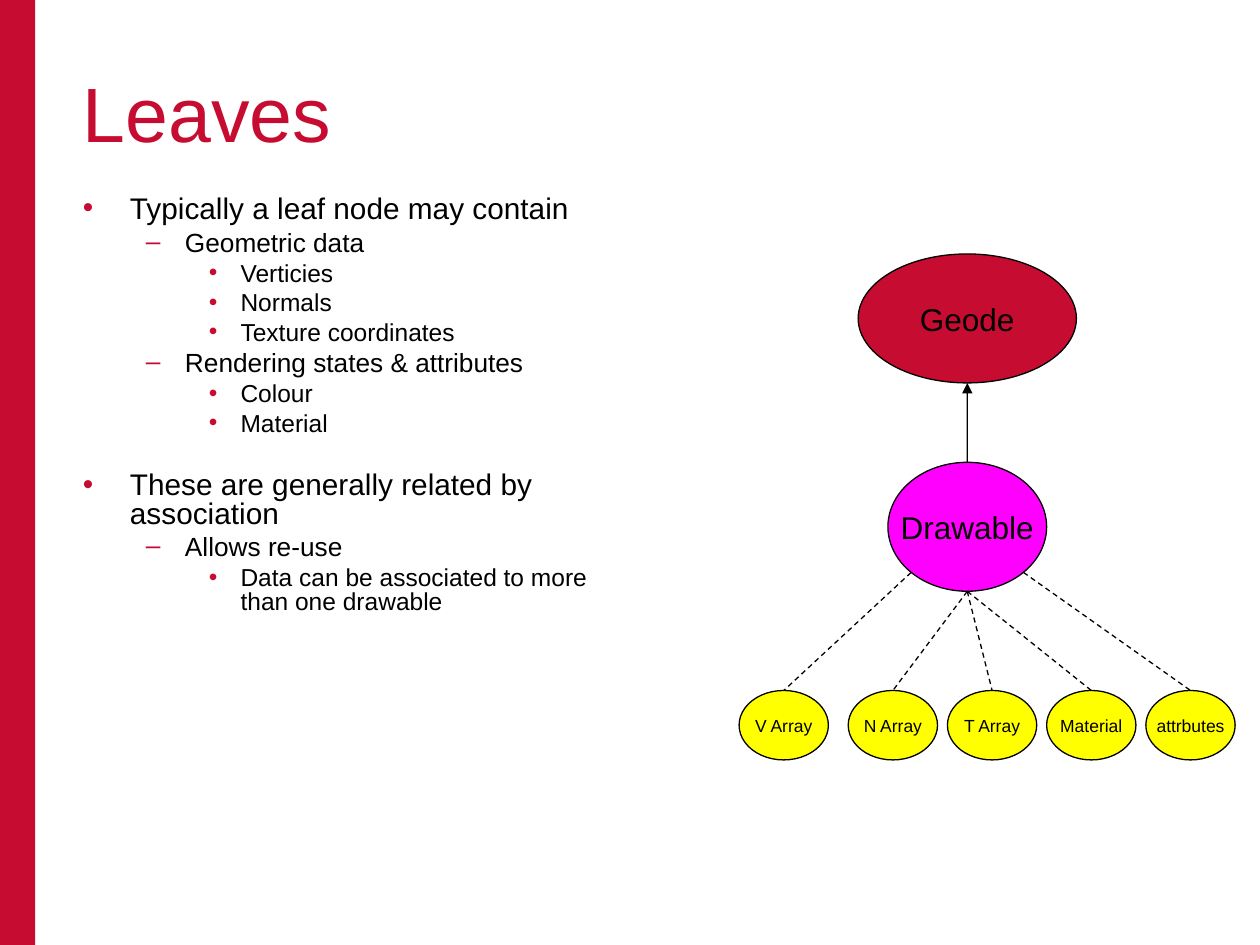
from math import sqrt

from pptx import Presentation
from pptx.dml.color import RGBColor
from pptx.enum.dml import MSO_LINE
from pptx.enum.shapes import MSO_CONNECTOR, MSO_SHAPE
from pptx.enum.text import MSO_ANCHOR, PP_ALIGN
from pptx.oxml.ns import qn
from pptx.util import Cm, Pt
from lxml.etree import SubElement

RED = RGBColor(0xC6, 0x0C, 0x30)
MAGENTA = RGBColor(0xFF, 0x00, 0xFF)
YELLOW = RGBColor(0xFF, 0xFF, 0x00)
BLACK = RGBColor(0x00, 0x00, 0x00)
STRAIGHT = MSO_CONNECTOR.STRAIGHT
RECTANGLE, ELLIPSE = MSO_SHAPE.RECTANGLE, MSO_SHAPE.OVAL
DASH = MSO_LINE.DASH
LEFT, CENTER = PP_ALIGN.LEFT, PP_ALIGN.CENTER
TOP, MIDDLE = MSO_ANCHOR.TOP, MSO_ANCHOR.MIDDLE

# level: size, space before, left margin, hanging indent, bullet
LEVELS = [
    (17, 4.2, 0.95, 0.95, "•"),
    (15, 3.7, 2.06, 0.79, "–"),
    (14, 3.5, 3.18, 0.64, "•"),
]
SECTION_GAP = 16.4
OUTLINE = [
    (0, "Typically a leaf node may contain"),
    (1, "Geometric data"),
    (2, "Verticies"),
    (2, "Normals"),
    (2, "Texture coordinates"),
    (1, "Rendering states & attributes"),
    (2, "Colour"),
    (2, "Material"),
    (0, "These are generally related by association"),
    (1, "Allows re-use"),
    (2, "Data can be associated to more than one drawable"),
]
LEAVES = [
    ("V Array", 14.9, -1),
    ("N Array", 17.1, 0),
    ("T Array", 19.1, 0),
    ("Material", 21.1, 0),
    ("attrbutes", 23.1, 1),
]


def write(para, text, size=18, color=BLACK, font="Arial", align=LEFT):
    span = para.add_run()
    span.text = text
    span.font.size = Pt(size)
    span.font.name = font
    span.font.color.rgb = color
    para.alignment = align


class SlideBuilder:
    """Draws styled elements on the current slide."""

    def __init__(self, page, line_width=0.75):
        self.page = page
        self.line_width = Pt(line_width)

    def bar(self, left, top, width, height, color):
        shape = self.page.shapes.add_shape(
            RECTANGLE, Cm(left), Cm(top), Cm(width), Cm(height))
        shape.shadow.inherit = False
        shape.fill.solid()
        shape.fill.fore_color.rgb = color
        shape.line.fill.background()

    def text_box(self, left, top, width, height, inset_top=0.13):
        box = self.page.shapes.add_textbox(
            Cm(left), Cm(top), Cm(width), Cm(height))
        frame = box.text_frame
        frame.word_wrap = True
        frame.vertical_anchor = TOP
        frame.margin_top = Cm(inset_top)
        return frame

    def title(self, text, left, top, width, height):
        frame = self.text_box(left, top, width, height, inset_top=0.3)
        write(frame.paragraphs[0], text, size=44, color=RED)

    def outline(self, items, left, top, width, height):
        frame = self.text_box(left, top, width, height)
        for index, (level, text) in enumerate(items):
            para = frame.add_paragraph() if index else frame.paragraphs[0]
            size, before, margin, hanging, bullet = LEVELS[level]
            gap = SECTION_GAP if index and level == 0 else 0
            write(para, text, size=size)
            para.level = level
            para.line_spacing = 0.8
            para.space_before = Pt(before + gap)
            props = para._p.get_or_add_pPr()
            props.set("marL", str(Cm(margin)))
            props.set("indent", str(-Cm(hanging)))
            color = SubElement(props, qn("a:buClr"))
            SubElement(color, qn("a:srgbClr"), val=str(RED))
            SubElement(props, qn("a:buFont"), typeface="Arial")
            SubElement(props, qn("a:buChar"), char=bullet)

    def node(self, text, left, top, width, height, fill, size=18):
        shape = self.page.shapes.add_shape(
            ELLIPSE, Cm(left), Cm(top), Cm(width), Cm(height))
        shape.shadow.inherit = False
        shape.fill.solid()
        shape.fill.fore_color.rgb = fill
        shape.line.color.rgb = BLACK
        shape.line.width = self.line_width
        frame = shape.text_frame
        frame.word_wrap = False
        frame.vertical_anchor = MIDDLE
        write(frame.paragraphs[0], text, size=size, align=CENTER)
        return shape

    def link(self, start, end, dashed=False, arrow=False):
        connector = self.page.shapes.add_connector(STRAIGHT, *start, *end)
        SubElement(connector._element.spPr, qn("a:effectLst"))
        connector.line.color.rgb = BLACK
        connector.line.width = self.line_width
        if dashed:
            connector.line.dash_style = DASH
        if arrow:
            SubElement(connector.line._get_or_add_ln(), qn("a:tailEnd"), type="triangle")
        return connector


def rim_point(node, side):
    reach = 1 / sqrt(2) if side else 1
    x = node.left + node.width / 2 * (1 + side * reach)
    y = node.top + node.height / 2 * (1 + reach)
    return round(x), round(y)


def top_point(node):
    return node.left + node.width // 2, node.top


def main():
    deck = Presentation()
    deck.slide_width, deck.slide_height = Cm(25.4), Cm(19.05)
    builder = SlideBuilder(deck.slides.add_slide(deck.slide_layouts[6]))

    builder.bar(0, 0, 0.71, 19.05, RED)
    builder.title("Leaves", 1.42, 1.02, 22.7, 4.09)
    builder.outline(OUTLINE, 1.42, 3.84, 11.07, 13.18)

    geode = builder.node("Geode", 17.3, 5.12, 4.4, 2.6, RED)
    drawable = builder.node("Drawable", 17.9, 9.32, 3.2, 2.6, MAGENTA)
    arrow = builder.link(top_point(drawable), rim_point(geode, 0), arrow=True)
    arrow.begin_connect(drawable, 0)

    for text, left, side in LEAVES:
        leaf = builder.node(text, left, 13.92, 1.8, 1.4, YELLOW, size=10)
        link = builder.link(rim_point(drawable, side), top_point(leaf), dashed=True)
        link.end_connect(leaf, 0)

    deck.save("out.pptx")


if __name__ == "__main__":
    main()
